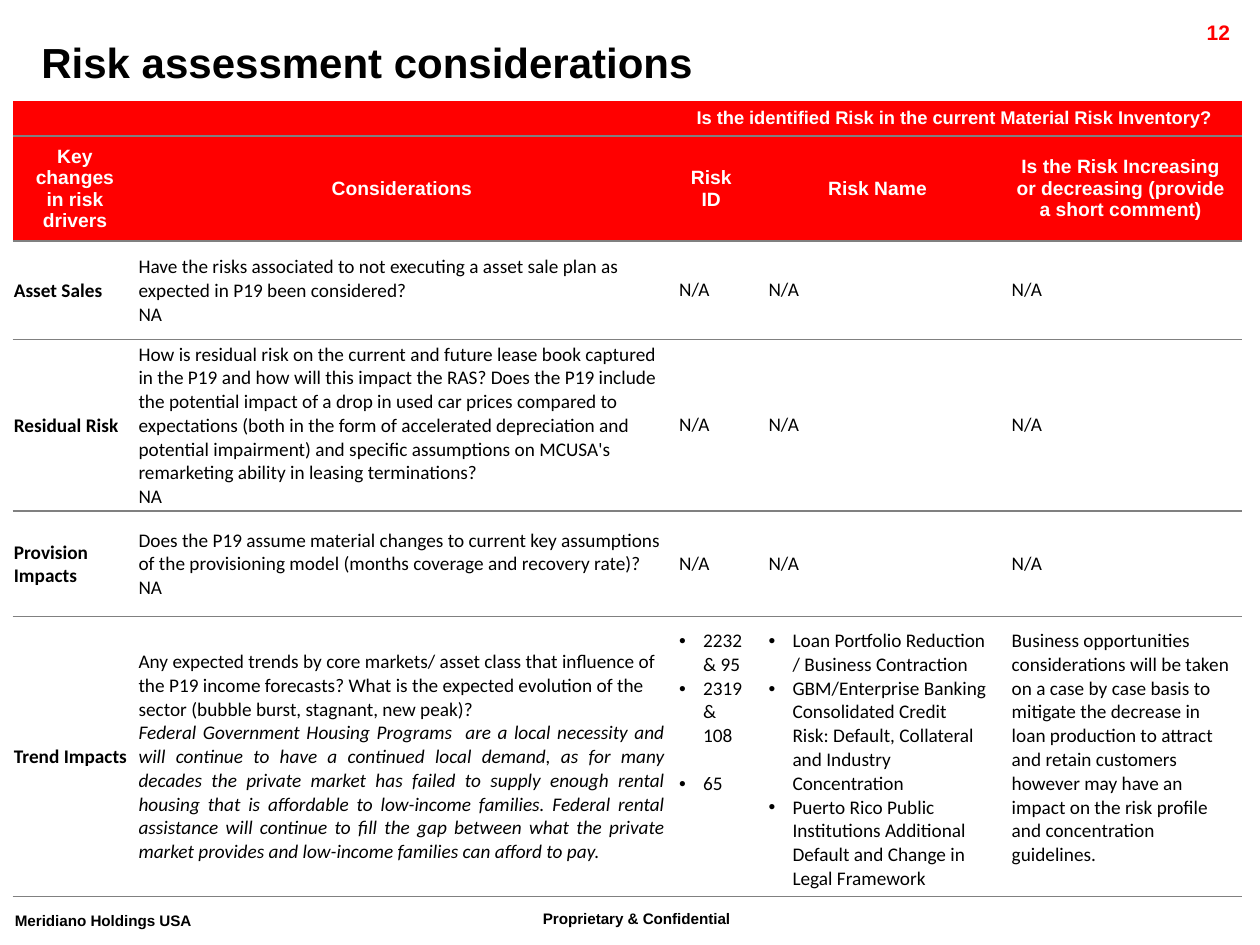
from dataclasses import dataclass

from lxml.etree import SubElement
from pptx import Presentation
from pptx.dml.color import RGBColor
from pptx.enum.text import MSO_ANCHOR, PP_ALIGN
from pptx.oxml import parse_xml
from pptx.oxml.ns import nsdecls, qn
from pptx.util import Inches, Pt

COLORS = {"red": "FF0000", "black": "000000", "white": "FFFFFF", "rule": "808080"}
COLUMN_WIDTHS = [0.99, 4.2, 0.71, 1.93, 1.93]
ROW_HEIGHTS = [0.28, 0.83, 0.78, 1.36, 0.84, 2.22]
TIGHT = (0.01, 0.01, 0.01, 0)
ROOMY = (0.1, 0.1, 0.1, 0.1)
HEADER = (0.1, 0.05, 0.1, 0.05)


@dataclass
class Line:
    text: str
    size: float = 11
    font: str = "Calibri"
    color: str = "black"
    bold: bool = False
    italic: bool = False
    align: PP_ALIGN = PP_ALIGN.LEFT
    bullet: bool = False
    space_before: float = 0
    baseline: int = 0


@dataclass
class Label:
    left: float
    top: float
    width: float
    height: float
    line: Line
    wrap: bool = True


@dataclass
class Driver:
    name: str
    considerations: list[Line]
    risk_ids: list[Line]
    risk_names: list[Line]
    trend: list[Line]
    anchor: MSO_ANCHOR = MSO_ANCHOR.MIDDLE


def rgb(name: str) -> RGBColor:
    return RGBColor.from_string(COLORS[name])


def heading(text: str, size: float = 11) -> Line:
    return Line(text, size, "Arial", "white", True, align=PP_ALIGN.CENTER)


def footer(text: str) -> Line:
    return Line(text, 15, "Arial", bold=True, baseline=30000)


def write_lines(frame, lines: list[Line]) -> None:
    for index, line in enumerate(lines):
        para = frame.add_paragraph() if index else frame.paragraphs[0]
        span = para.add_run()
        span.text = line.text
        if line.bullet:
            properties = para._p.get_or_add_pPr()
            properties.set("marL", str(Inches(0.19)))
            properties.set("indent", str(Inches(-0.19)))
            SubElement(properties, qn("a:buFont")).set("typeface", "Arial")
            SubElement(properties, qn("a:buChar")).set("char", "•")
        if line.baseline:
            span._r.get_or_add_rPr().set("baseline", str(line.baseline))
        para.alignment = line.align
        if line.space_before:
            para.space_before = Pt(line.space_before)
        para.font.size = Pt(line.size)
        para.font.name = line.font
        para.font.bold = line.bold
        para.font.italic = line.italic
        para.font.color.rgb = rgb(line.color)


def add_label(page, label: Label) -> None:
    box = page.shapes.add_textbox(
        Inches(label.left), Inches(label.top), Inches(label.width), Inches(label.height)
    )
    box.text_frame.word_wrap = label.wrap
    write_lines(box.text_frame, [label.line])


def style_cell(cell, fill: str, top_rule: bool) -> None:
    cell.fill.solid()
    cell.fill.fore_color.rgb = rgb(fill)
    rule = f'<a:solidFill><a:srgbClr val="{COLORS["rule"]}"/></a:solidFill>'
    blank = "<a:noFill/>"
    sides = {"lnL": blank, "lnR": blank, "lnT": rule if top_rule else blank, "lnB": rule}
    for index, (side, paint) in enumerate(sides.items()):
        border = parse_xml(f'<a:{side} {nsdecls("a")} w="{Pt(1)}">{paint}</a:{side}>')
        cell._tc.get_or_add_tcPr().insert(index, border)


def fill_cell(cell, lines: list[Line], insets: tuple, anchor=MSO_ANCHOR.MIDDLE) -> None:
    cell.margin_left, cell.margin_top, cell.margin_right, cell.margin_bottom = map(Inches, insets)
    cell.vertical_anchor = anchor
    write_lines(cell.text_frame, lines)


def add_risk_table(page, headings: list[str], drivers: list[Driver]) -> None:
    table = page.shapes.add_table(
        len(ROW_HEIGHTS), len(COLUMN_WIDTHS), Inches(0.1), Inches(0.8),
        Inches(sum(COLUMN_WIDTHS)), Inches(sum(ROW_HEIGHTS)),
    ).table
    for column, width in zip(table.columns, COLUMN_WIDTHS):
        column.width = Inches(width)
    for index, (row, height) in enumerate(zip(table.rows, ROW_HEIGHTS)):
        row.height = Inches(height)
        for cell in row.cells:
            style_cell(cell, "red" if index < 2 else "white", index > 0)
    table.cell(0, 0).merge(table.cell(0, 1))
    table.cell(0, 2).merge(table.cell(0, 4))
    for column in (0, 1, 3, 4):
        para = table.cell(0, column).text_frame.paragraphs[0]
        SubElement(para._p, qn("a:endParaRPr")).set("sz", "1050")
    question = "Is the identified Risk in the current Material Risk Inventory?"
    fill_cell(table.cell(0, 2), [heading(question, 10.5)], HEADER)
    for column, text in enumerate(headings):
        fill_cell(table.cell(1, column), [heading(text)], HEADER)
    for row, driver in enumerate(drivers, start=2):
        fill_cell(table.cell(row, 0), [Line(driver.name, bold=True)], TIGHT)
        fill_cell(table.cell(row, 1), driver.considerations, TIGHT)
        answers = [driver.risk_ids, driver.risk_names, driver.trend]
        for column, lines in enumerate(answers, start=2):
            fill_cell(table.cell(row, column), lines, ROOMY, driver.anchor)


def main() -> None:
    headings = [
        "Key changes in risk drivers", "Considerations", "Risk ID", "Risk Name",
        "Is the Risk Increasing or decreasing (provide a short comment)",
    ]
    not_applicable = [[Line("N/A")]] * 3
    drivers = [
        Driver("Asset Sales", [
            Line("Have the risks associated to not executing a asset sale plan as expected in P19 been considered?"),
            Line("NA"),
        ], *not_applicable),
        Driver("Residual Risk", [
            Line("How is residual risk on the current and future lease book captured in the P19 and how will "
                 "this impact the RAS? Does the P19 include the potential impact of a drop in used car prices "
                 "compared to expectations (both in the form of accelerated depreciation and potential "
                 "impairment) and specific assumptions on MCUSA's remarketing ability in leasing terminations?"),
            Line("NA"),
        ], *not_applicable),
        Driver("Provision Impacts", [
            Line("Does the P19 assume material changes to current key assumptions of the provisioning model "
                 "(months coverage and recovery rate)? NA"),
        ], *not_applicable),
        Driver("Trend Impacts", [
            Line("Any expected trends by core markets/ asset class that influence of the P19 income forecasts? "
                 "What is the expected evolution of the sector (bubble burst, stagnant, new peak)?"),
            Line("Federal Government Housing Programs  are a local necessity and will continue to have a "
                 "continued local demand, as for many decades the private market has failed to supply enough "
                 "rental housing that is affordable to low-income families. Federal rental assistance will "
                 "continue to fill the gap between what the private market provides and low-income families "
                 "can afford to pay.", italic=True, align=PP_ALIGN.JUSTIFY),
        ], [
            Line("2232 & 95", bullet=True),
            Line("2319 & 108", bullet=True),
            Line("65", bullet=True, space_before=13.5),
        ], [
            Line("Loan Portfolio Reduction / Business Contraction", bullet=True),
            Line("GBM/Enterprise Banking Consolidated Credit Risk: Default, Collateral and Industry "
                 "Concentration", bullet=True),
            Line("Puerto Rico Public Institutions Additional Default and Change in Legal Framework", bullet=True),
        ], [
            Line("Business opportunities considerations will be taken on a case by case basis to mitigate the "
                 "decrease in loan production to attract and retain customers however may have an impact on "
                 "the risk profile and concentration guidelines."),
        ], MSO_ANCHOR.TOP),
    ]
    labels = [
        Label(4.21, 7.14, 2.18, 0.35, footer("Proprietary & Confidential")),
        Label(0.02, 7.16, 1.91, 0.35, footer("Meridiano Holdings USA"), wrap=False),
        Label(8.91, 0.11, 0.95, 0.24, Line("12", 12, "Arial", "red", True, align=PP_ALIGN.RIGHT)),
        Label(0.23, 0.24, 9.82, 0.5, Line("Risk assessment considerations", 24, "Arial", bold=True)),
    ]
    deck = Presentation()
    deck.slide_width, deck.slide_height = Inches(10), Inches(7.5)
    page = deck.slides.add_slide(deck.slide_layouts[6])
    for label in labels:
        add_label(page, label)
    add_risk_table(page, headings, drivers)
    deck.save("out.pptx")


if __name__ == "__main__":
    main()
